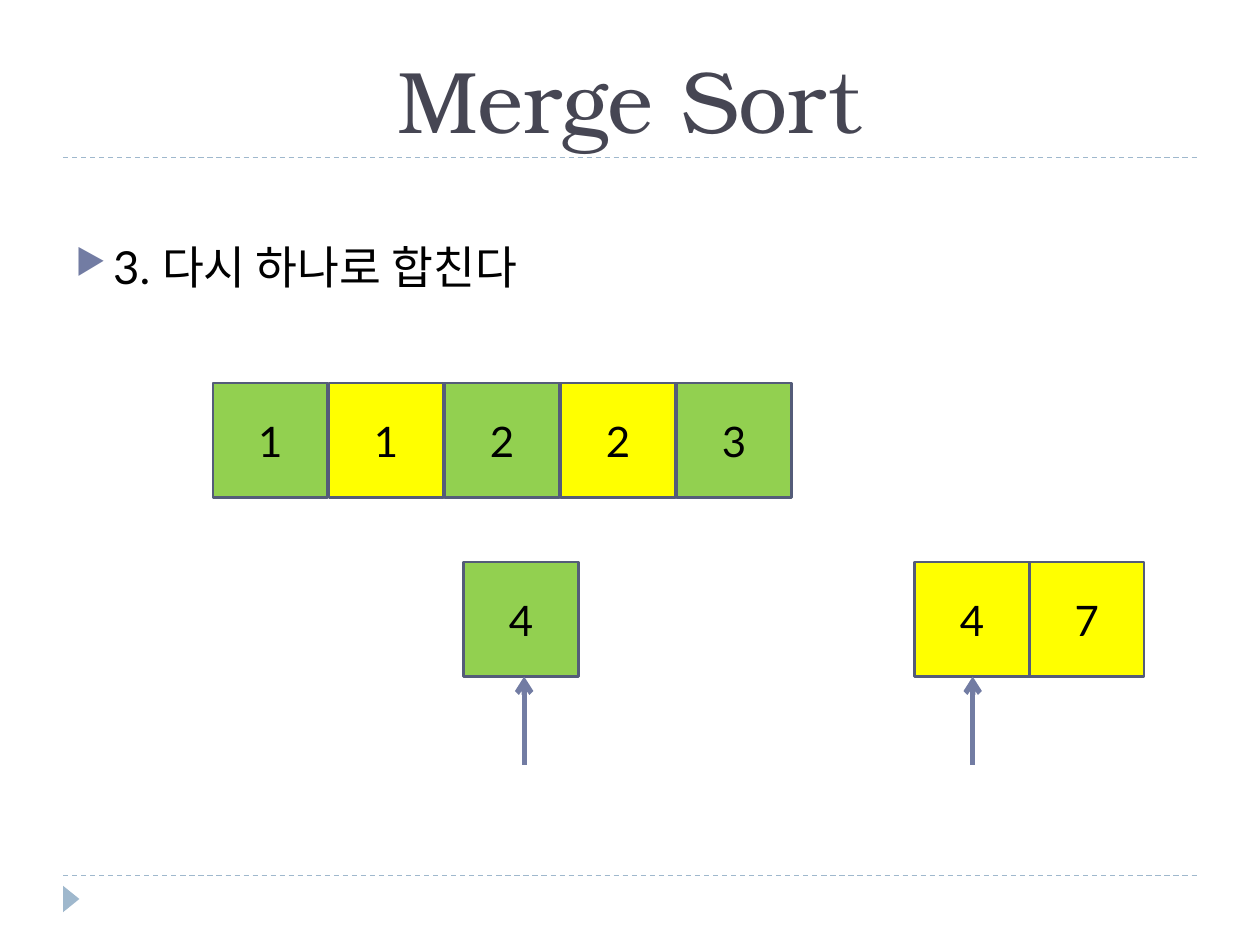
from lxml.etree import SubElement
from pptx import Presentation
from pptx.dml.color import RGBColor
from pptx.enum.dml import MSO_LINE_DASH_STYLE as DASH
from pptx.enum.shapes import MSO_CONNECTOR, MSO_SHAPE
from pptx.enum.text import MSO_ANCHOR as ANCHOR, PP_ALIGN as ALIGN
from pptx.oxml.ns import qn
from pptx.util import Inches, Pt

BLACK = RGBColor(0x00, 0x00, 0x00)
SLATE = RGBColor(0x46, 0x46, 0x53)
BORDER = RGBColor(0x54, 0x5C, 0x79)
ACCENT = RGBColor(0x72, 0x7C, 0xA3)
PALE = RGBColor(0x9F, 0xB8, 0xCD)
GREEN = RGBColor(0x92, 0xD0, 0x50)
YELLOW = RGBColor(0xFF, 0xFF, 0x00)

TITLE = "Merge Sort"
STEP = "3. 다시 하나로 합친다"
BOX = 0.91
MERGED_Y, REST_Y = 3.04, 4.46
# left, top, pitch, [(value, colour), ...]
ROWS = [
    (1.69, MERGED_Y, 0.92,
     [("1", GREEN), ("1", YELLOW), ("2", GREEN), ("2", YELLOW), ("3", GREEN)]),
    (3.68, REST_Y, BOX, [("4", GREEN)]),
    (7.26, REST_Y, BOX, [("4", YELLOW), ("7", YELLOW)]),
]
POINTERS = [4.16, 7.72]
POINTER_LENGTH = 0.7
RULES = [1.25, 6.95]
MARGIN = 0.5

prs = Presentation()
prs.slide_width, prs.slide_height = Inches(10), Inches(7.5)
s = prs.slides.add_slide(prs.slide_layouts[6])


def write(sp, text, size=24, font="Lato", color=BLACK, align=ALIGN.CENTER,
          anchor=ANCHOR.MIDDLE):
    """Put one formatted line of text in a shape and return its paragraph."""
    tf = sp.text_frame
    tf.word_wrap = True
    tf.vertical_anchor = anchor
    p = tf.paragraphs[0]
    p.alignment = align
    r = p.add_run()
    r.text = text
    r.font.size, r.font.name = Pt(size), font
    r.font.color.rgb = color
    return p


def add_text(x, y, w, h, text, **fmt):
    """Add a text box and return its paragraph."""
    return write(s.shapes.add_textbox(*map(Inches, (x, y, w, h))), text, **fmt)


def add_bullet(p, char, color, percent, indent):
    """Give a paragraph a coloured bullet with a hanging indent."""
    pPr = p._p.get_or_add_pPr()
    pPr.set("marL", str(Inches(indent)))
    pPr.set("indent", str(-Inches(indent)))
    SubElement(SubElement(pPr, qn("a:buClr")), qn("a:srgbClr"), val=str(color))
    SubElement(pPr, qn("a:buSzPct"), val=str(percent * 1000))
    SubElement(pPr, qn("a:buChar"), char=char)


def add_shape(kind, x, y, w, h, fill, line=None):
    """Add a flat preset shape with an optional outline."""
    sp = s.shapes.add_shape(kind, *map(Inches, (x, y, w, h)))
    sp.shadow.inherit = False
    sp.fill.solid()
    sp.fill.fore_color.rgb = fill
    if line is None:
        sp.line.fill.background()
    else:
        sp.line.color.rgb, sp.line.width = line, Pt(1.5)
    return sp


def add_line(x1, y1, x2, y2, color, width, dash=None, arrow=False):
    """Add a straight line, dashed or with an arrowhead at its end."""
    c = s.shapes.add_connector(MSO_CONNECTOR.STRAIGHT,
                               *map(Inches, (x1, y1, x2, y2)))
    c.line.color.rgb, c.line.width = color, Pt(width)
    if dash is not None:
        c.line.dash_style = dash
    if arrow:
        SubElement(c.line._get_or_add_ln(), qn("a:tailEnd"), type="arrow")
    SubElement(c._element.spPr, qn("a:effectLst"))


for y in RULES:
    add_line(MARGIN, y, 10 - MARGIN, y, PALE, 0.75, dash=DASH.DASH)
add_shape(MSO_SHAPE.ISOSCELES_TRIANGLE, 0.46, 7.07, 0.21, 0.13, PALE).rotation = 90

add_text(MARGIN, 0.17, 9, 1.08, TITLE, size=50, font="TeX Gyre Bonum",
         color=SLATE, anchor=ANCHOR.BOTTOM)
step = add_text(MARGIN, 1.8, 9, 0.62, STEP, size=26, align=ALIGN.LEFT)
add_bullet(step, "▶", ACCENT, 76, 0.3)

for left, top, pitch, cells in ROWS:
    for i, (value, color) in enumerate(cells):
        box = add_shape(MSO_SHAPE.RECTANGLE, left + i * pitch, top, BOX, BOX,
                        color, BORDER)
        write(box, value)

for x in POINTERS:
    tip = REST_Y + BOX
    add_line(x, tip + POINTER_LENGTH, x, tip, ACCENT, 3, arrow=True)

prs.save("out.pptx")
